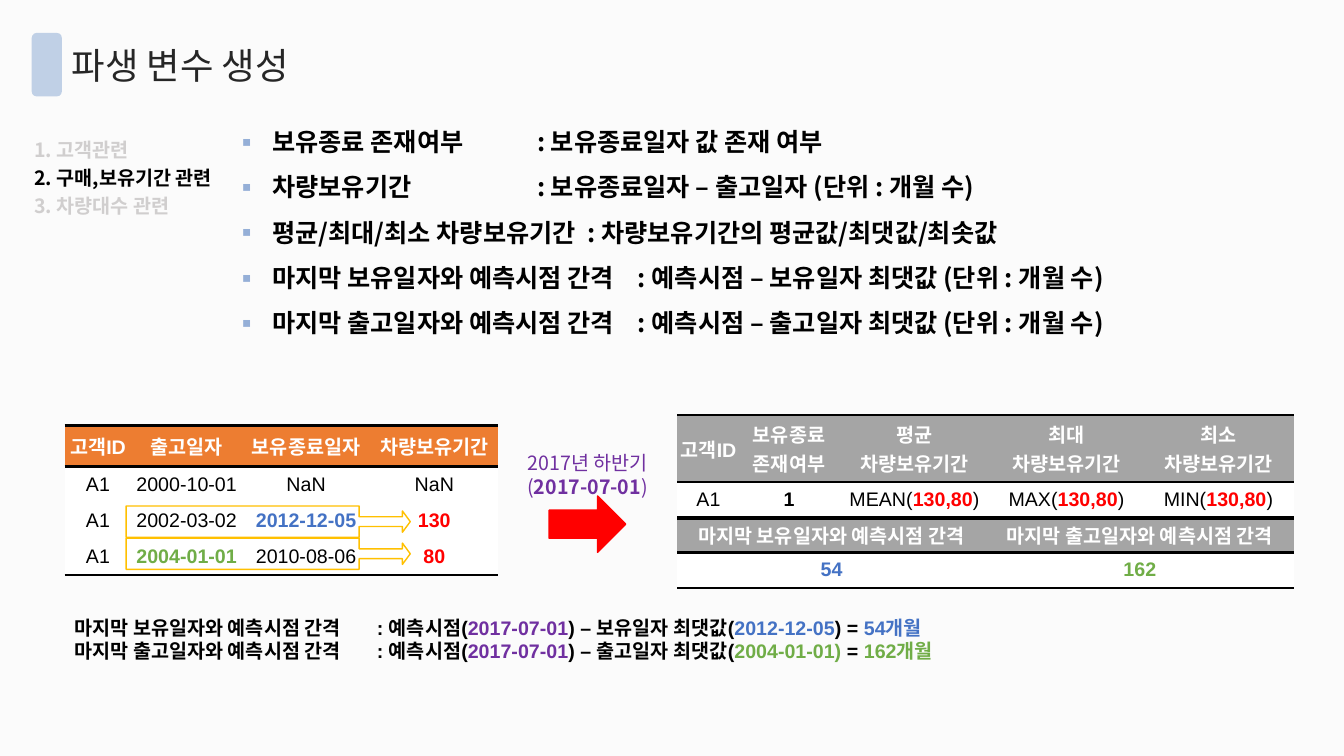
from dataclasses import dataclass

from lxml import etree
from pptx import Presentation
from pptx import util as u
from pptx.dml import color as col
from pptx.enum import shapes, text
from pptx.oxml import ns

KIND = shapes.MSO_SHAPE
ALIGN = text.PP_ALIGN


@dataclass(frozen=True)
class Theme:
    # Fonts and type sizes
    sans: str = "Noto Sans CJK KR"
    latin: str = "Arial"
    head: int = 26
    list: int = 18
    small: int = 14
    tab: int = 12
    # Colours
    page: str = "FBFBFB"
    black: str = "000000"
    white: str = "FFFFFF"
    ink: str = "262626"
    pale: str = "D0CECE"
    mark: str = "C0D0E6"
    dot: str = "95AFD7"
    orange: str = "ED7D31"
    gray: str = "A5A5A5"
    gold: str = "FFC000"
    red: str = "FF0000"
    blue: str = "4472C4"
    green: str = "70AD47"
    purple: str = "7030A0"


T = Theme()


def rgb(code):
    return col.RGBColor.from_string(code)


def add(parent, tag, **attrs):
    return etree.SubElement(parent, ns.qn(tag), attrs)


def box(*sides):
    return [u.Cm(side) for side in sides]


class Deck:
    def __init__(self, theme):
        self.theme = theme
        self.file = Presentation()
        self.file.slide_width, self.file.slide_height = box(33.87, 19.05)
        self.slide = self.file.slides.add_slide(self.file.slide_layouts[1])
        fill = self.slide.background.fill
        fill.solid()
        fill.fore_color.rgb = rgb(theme.page)

    def put_runs(self, para, runs, font, size):
        """Each run is (words, colour, bold) with an optional own size."""
        for words, shade, bold, *own in runs:
            run = para.add_run()
            run.text = words
            run.font.name = font
            run.font.size = u.Pt(own[0] if own else size)
            run.font.bold = bold
            run.font.color.rgb = rgb(shade)
            add(run.font._element, "a:ea", typeface=self.theme.sans)

    def put_lines(self, frame, lines, font, size, align=ALIGN.LEFT, gap=1.0, dots=False):
        for i, runs in enumerate(lines):
            para = frame.paragraphs[0] if i == 0 else frame.add_paragraph()
            if dots:
                self.dot(para)
            para.alignment = align
            para.line_spacing = gap
            para.space_before = u.Pt(0)
            self.put_runs(para, runs, font, size)

    def dot(self, para):
        props = para._p.get_or_add_pPr()
        props.set("marL", str(u.Cm(0.95)))
        props.set("indent", str(-u.Cm(0.95)))
        add(add(props, "a:buClr"), "a:srgbClr", val=self.theme.dot)
        add(props, "a:buFont", typeface=self.theme.sans)
        add(props, "a:buChar", char="▪")

    def holder(self, shape, place, lines, size, **look):
        shape.left, shape.top, shape.width, shape.height = box(*place)
        frame = shape.text_frame
        frame.auto_size = text.MSO_AUTO_SIZE.NONE
        self.put_lines(frame, lines, self.theme.sans, size, **look)

    def title(self, place, lines):
        self.holder(self.slide.shapes.title, place, lines, self.theme.head)

    def list(self, place, lines):
        self.holder(self.slide.placeholders[1], place, lines, self.theme.list,
                    gap=1.5, dots=True)

    def label(self, place, lines, font, wrap=True, **look):
        frame = self.slide.shapes.add_textbox(*box(*place)).text_frame
        frame.word_wrap = wrap
        self.put_lines(frame, lines, font, self.theme.small, **look)

    def shape(self, kind, place, fill=None, line=None, bends=()):
        item = self.slide.shapes.add_shape(kind, *box(*place))
        item.shadow.inherit = False
        if fill:
            item.fill.solid()
            item.fill.fore_color.rgb = rgb(fill)
        else:
            item.fill.background()
        if line:
            item.line.color.rgb = rgb(line)
            item.line.width = u.Pt(1)
        else:
            item.line.fill.background()
        for i, bend in enumerate(bends):
            item.adjustments[i] = bend

    def rule(self, props, tag):
        line = add(props, tag, w=str(u.Pt(2)))
        add(add(line, "a:solidFill"), "a:srgbClr", val=self.theme.black)

    def table(self, left, top, wides, highs, rows, shade):
        """The first row is the header; rules frame it and close the table."""
        place = box(left, top, sum(wides), sum(highs))
        grid = self.slide.shapes.add_table(len(rows), len(wides), *place).table
        grid.first_row = grid.horz_banding = False
        style = grid._tbl.tblPr.find(ns.qn("a:tableStyleId"))
        style.text = "{2D5ABB26-0587-4C30-8999-92F81FD0307C}"
        for part, wide in zip(grid.columns, wides):
            part.width = u.Cm(wide)
        for part, high in zip(grid.rows, highs):
            part.height = u.Cm(high)
        for r, row in enumerate(rows):
            for c, lines in enumerate(row):
                cell = grid.cell(r, c)
                cell.margin_left = cell.margin_right = 0
                cell.margin_top = cell.margin_bottom = 0
                cell.vertical_anchor = text.MSO_ANCHOR.MIDDLE
                self.put_lines(cell.text_frame, lines, self.theme.latin,
                               self.theme.small, ALIGN.CENTER)
                props = cell._tc.get_or_add_tcPr()
                if r == 0:
                    self.rule(props, "a:lnT")
                if r in (0, len(rows) - 1):
                    self.rule(props, "a:lnB")
                cell.fill.solid()
                cell.fill.fore_color.rgb = rgb(self.theme.white if r else shade)


def bold(words, shade=T.black):
    return (words, shade, True)


def plain(words, shade=T.black):
    return (words, shade, False)


def heads(*names):
    return [[[bold(line, T.white)] for line in name.split("\n")] for name in names]


def cells(*runs):
    return [[[run]] for run in runs]


def main():
    deck = Deck(T)

    # Heading
    deck.shape(KIND.ROUNDED_RECTANGLE, (0.8, 0.83, 0.76, 1.6), T.mark)
    deck.title((1.55, 0.94, 6.3, 1.37), [[plain("파생 변수 생성", T.ink)]])

    # Section list
    deck.label((0.61, 3.23, 5.03, 2.36), [
        [bold("1. 고객관련", T.pale)],
        [bold("2. 구매,보유기간 관련"), bold("3. 차량대수 관련", T.pale)],
    ], T.sans, gap=1.2)

    # Derived variables
    tab = ("\t", T.black, True, T.tab)
    deck.list((5.66, 2.67, 25.86, 5.92), [
        [bold("보유종료 존재여부\t\t: 보유종료일자 값 존재 여부")],
        [bold("차량보유기간\t\t\t: 보유종료일자 – 출고일자 (단위 : 개월 수)")],
        [bold("평균/최대/최소 차량보유기간\t: 차량보유기간의 평균값/최댓값/최솟값")],
    ] + [
        [bold(f"마지막 {day}와 예측시점 간격"), tab,
         bold(f": 예측시점 – {day} 최댓값 (단위 : 개월 수)")]
        for day in ("보유일자", "출고일자")
    ])

    # Customer records
    deck.table(1.63, 10.72, [1.68, 2.79, 3.23, 3.23], [1.04] + [0.91] * 3, [
        heads("고객ID", "출고일자", "보유종료일자", "차량보유기간"),
        cells(plain("A1"), plain("2000-10-01"), plain("NaN"), plain("NaN")),
        cells(plain("A1"), plain("2002-03-02"), bold("2012-12-05", T.blue),
              bold("130", T.red)),
        cells(plain("A1"), bold("2004-01-01", T.green), plain("2010-08-06"),
              bold("80", T.red)),
    ], T.orange)

    # Summary tables
    stats = [[[plain(f"{name}("), bold("130,80", T.red), plain(")")]]
             for name in ("MEAN", "MAX", "MIN")]
    deck.table(17.07, 10.46, [1.57, 2.49] + [3.83] * 3, [1.68, 0.89], [
        heads("고객ID", "보유종료\n존재여부",
              *(f"{name}\n차량보유기간" for name in ("평균", "최대", "최소"))),
        cells(plain("A1"), bold("1")) + stats,
    ], T.gray)
    deck.table(17.07, 13.06, [7.77] * 2, [0.86, 0.89], [
        heads("마지막 보유일자와 예측시점 간격", "마지막 출고일자와 예측시점 간격"),
        cells(bold("54", T.blue), bold("162", T.green)),
    ], T.gray)

    # Forecast date and arrows
    deck.label((12.93, 11.25, 3.76, 1.45), [
        [plain("2017년 하반기", T.purple)],
        [plain("(", T.purple), bold("2017-07-01", T.purple), plain(")", T.purple)],
    ], T.sans, wrap=False, align=ALIGN.CENTER)
    deck.shape(KIND.RIGHT_ARROW, (13.84, 12.5, 1.93, 1.42), T.red, T.red)
    for row in range(2):
        deck.shape(KIND.RIGHT_ARROW_CALLOUT, (3.18, 12.75 + 0.81 * row, 7.16, 0.79),
                   line=T.gold, bends=(0.31, 0.34, 0.25, 0.82))

    # Worked sums
    sums = [
        ("보유일자", [bold("2012-12-05", T.blue), bold(") ="), bold(" 54개월", T.blue)]),
        ("출고일자", [bold("2004-01-01) ", T.green), bold("= "), bold("162개월", T.green)]),
    ]
    deck.label((1.63, 15.39, 25.32, 1.45), [
        [bold(f"마지막 {day}와 예측시점 간격 \t: 예측시점("), bold("2017-07-01", T.purple),
         bold(f") – {day} 최댓값("), *tail]
        for day, tail in sums
    ], T.latin, align=ALIGN.JUSTIFY)

    deck.file.save("out.pptx")


if __name__ == "__main__":
    main()
